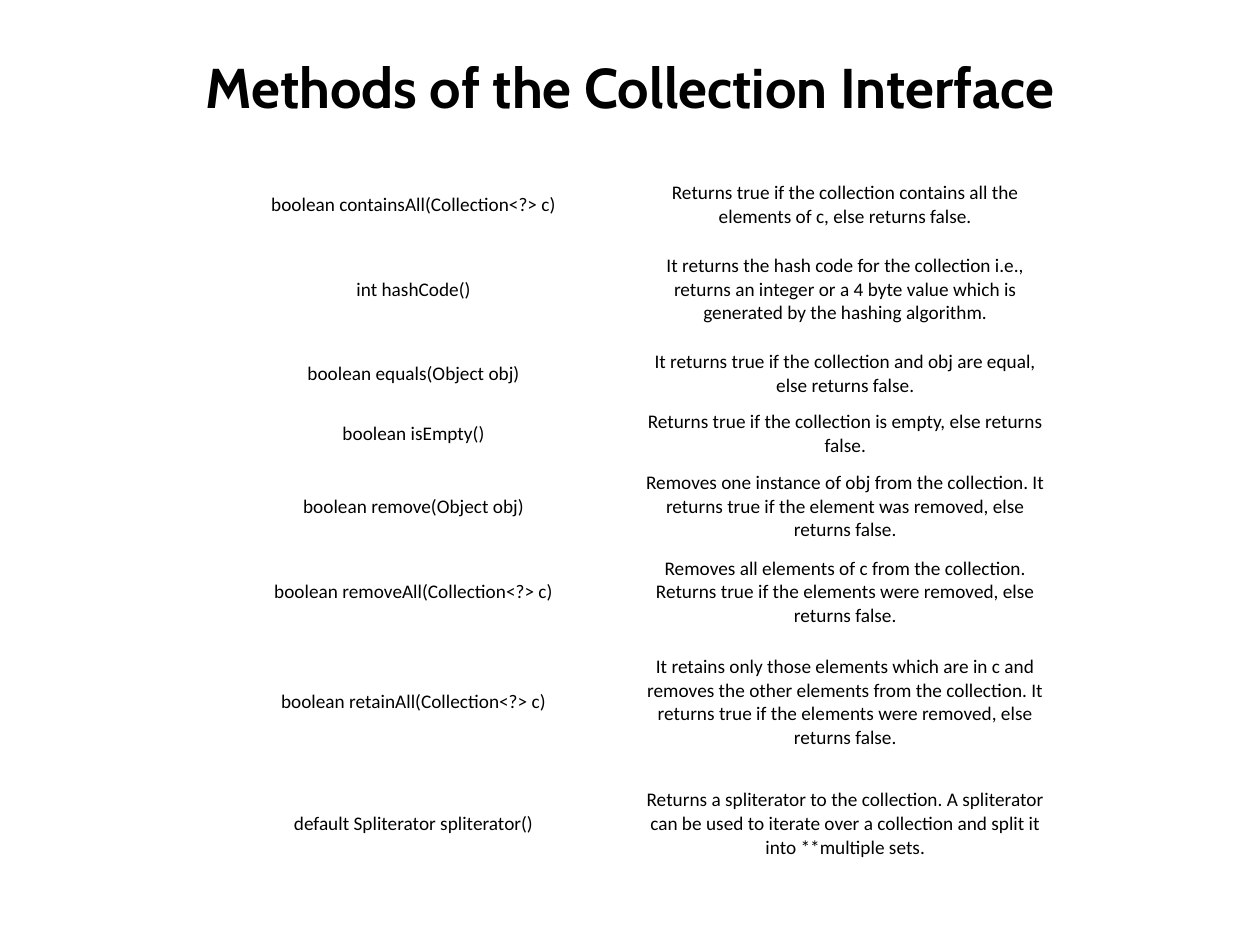
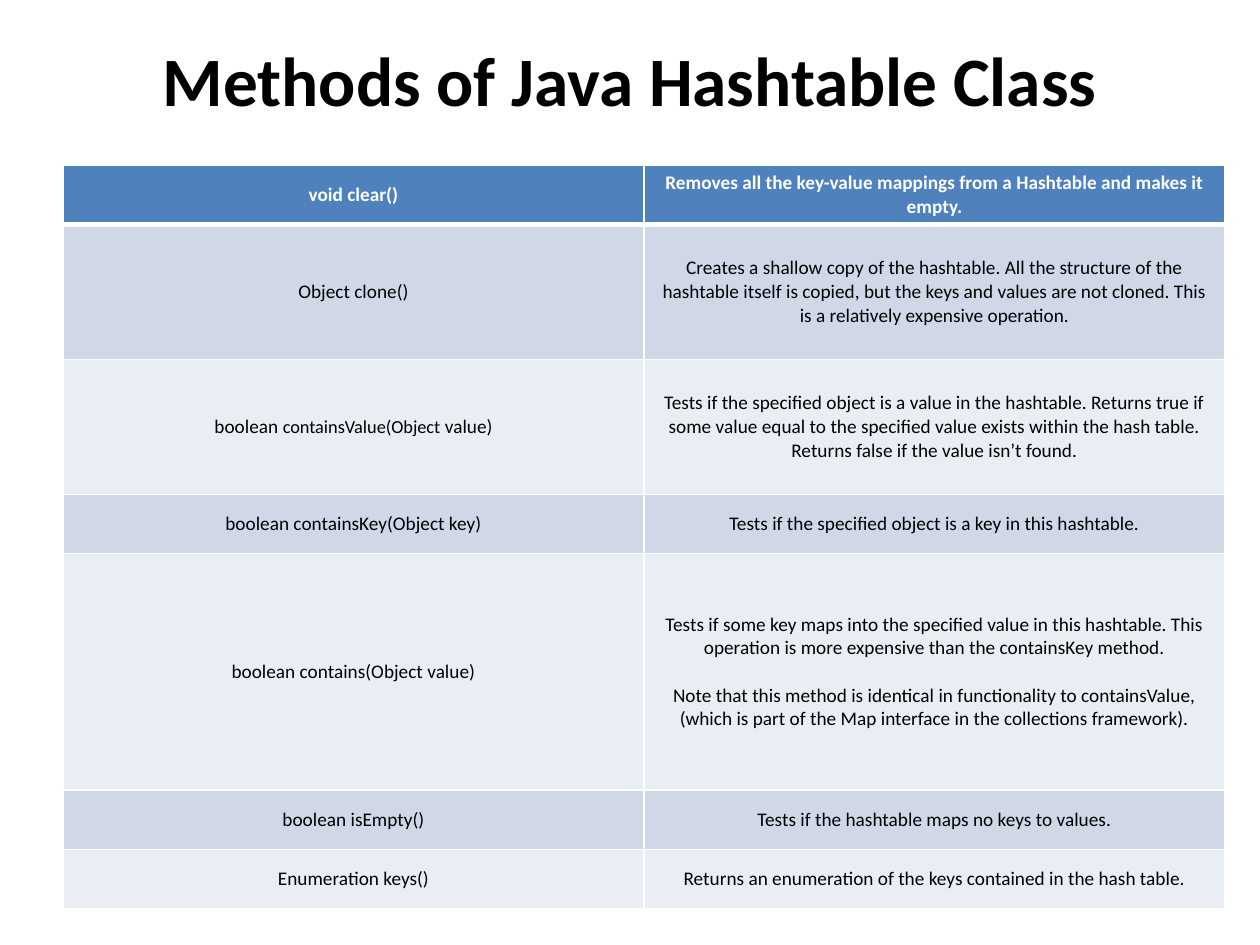
from dataclasses import dataclass

from lxml.etree import SubElement
from pptx import Presentation
from pptx.dml.color import RGBColor
from pptx.enum.text import MSO_ANCHOR, PP_ALIGN
from pptx.oxml.ns import qn
from pptx.presentation import Presentation as Deck
from pptx.slide import Slide
from pptx.table import _Cell
from pptx.text.text import _Paragraph
from pptx.util import Length, Pt


@dataclass(frozen=True)
class Theme:
    black: str = "000000"
    white: str = "FFFFFF"
    header: str = "4F81BD"
    dark_band: str = "D0D8E8"
    light_band: str = "E9EDF4"
    body_font: str = "Calibri"
    accent_font: str = "Cabin"
    body_size: Length = Pt(11)
    small_size: Length = Pt(10.5)
    collection_title_size: Length = Pt(32)
    hashtable_title_size: Length = Pt(39.6)
    paragraph_gap: Length = Pt(13.4)
    thin_line: Length = Pt(1)
    thick_line: Length = Pt(3)


THEME = Theme()


@dataclass(frozen=True)
class Title:
    text: str
    font: str
    size: Length
    top: Length


@dataclass(frozen=True)
class Method:
    signature: str
    description: str
    height: Length
    note: str = ""
    small_part: str = ""


@dataclass(frozen=True)
class MethodTable:
    left: Length
    top: Length
    column_width: Length
    methods: list[Method]
    banded: bool
    side_margin: Length
    edge_margin: Length


COLLECTION_TITLE = Title("Methods of the Collection Interface", THEME.accent_font,
                         THEME.collection_title_size, Pt(25.1))
HASHTABLE_TITLE = Title("Methods of Java Hashtable Class", THEME.body_font,
                        THEME.hashtable_title_size, Pt(20.8))

COLLECTION_TABLE = MethodTable(
    left=Pt(113), top=Pt(100), column_width=Pt(246.7), banded=False,
    side_margin=Pt(4.3), edge_margin=Pt(2.2),
    methods=[
        Method("boolean containsAll(Collection<?> c)",
               "Returns true if the collection contains all the elements of c, "
               "else returns false.", Pt(34.2)),
        Method("int hashCode()",
               "It returns the hash code for the collection i.e., returns an integer "
               "or a 4 byte value which is generated by the hashing algorithm.", Pt(62.4)),
        Method("boolean equals(Object obj)",
               "It returns true if the collection and obj are equal, "
               "else returns false.", Pt(34.2)),
        Method("boolean isEmpty()",
               "Returns true if the collection is empty, else returns false.", Pt(34.2)),
        Method("boolean remove(Object obj)",
               "Removes one instance of obj from the collection. It returns true "
               "if the element was removed, else returns false.", Pt(49)),
        Method("boolean removeAll(Collection<?> c)",
               "Removes all elements of c from the collection. Returns true "
               "if the elements were removed, else returns false.", Pt(49)),
        Method("boolean retainAll(Collection<?> c)",
               "It retains only those elements which are in c and removes the other "
               "elements from the collection. It returns true if the elements were "
               "removed, else returns false.", Pt(76.8)),
        Method("default Spliterator spliterator()",
               "Returns a spliterator to the collection. A spliterator can be used to "
               "iterate over a collection and split it into **multiple sets.", Pt(62.4)),
    ],
)

HASHTABLE_TABLE = MethodTable(
    left=Pt(36), top=Pt(94.4), column_width=Pt(332), banded=True,
    side_margin=Pt(7.2), edge_margin=Pt(3.6),
    methods=[
        Method("void clear()",
               "Removes all the key-value mappings from a Hashtable and makes it empty.",
               Pt(33.8)),
        Method("Object clone()",
               "Creates a shallow copy of the hashtable. All the structure of the "
               "hashtable itself is copied, but the keys and values are not cloned. "
               "This is a relatively expensive operation.", Pt(77.2)),
        Method("boolean containsValue(Object value)",
               "Tests if the specified object is a value in the hashtable. Returns true "
               "if some value equal to the specified value exists within the hash table. "
               "Returns false if the value isn’t found.", Pt(77.2),
               small_part="containsValue(Object"),
        Method("boolean containsKey(Object key)",
               "Tests if the specified object is a key in this hashtable.", Pt(33.8)),
        Method("boolean contains(Object value)",
               "Tests if some key maps into the specified value in this hashtable. "
               "This operation is more expensive than the containsKey method.", Pt(135.2),
               note="Note that this method is identical in functionality to containsValue, "
                    "(which is part of the Map interface in the collections framework)."),
        Method("boolean isEmpty()",
               "Tests if the hashtable maps no keys to values.", Pt(33.8)),
        Method("Enumeration keys()",
               "Returns an enumeration of the keys contained in the hash table.", Pt(33.8)),
    ],
)


def format_paragraph(paragraph: _Paragraph, font: str, size: Length,
                     color: str, bold: bool) -> None:
    paragraph.alignment = PP_ALIGN.CENTER
    for run in paragraph.runs:
        run.font.name = font
        run.font.size = size
        run.font.bold = bold
        run.font.color.rgb = RGBColor.from_string(color)


def add_title(slide: Slide, title: Title) -> None:
    shape = slide.shapes.add_textbox(Pt(36), title.top, Pt(648), Pt(48))
    text_frame = shape.text_frame
    text_frame.word_wrap = True
    text_frame.vertical_anchor = MSO_ANCHOR.MIDDLE
    text_frame.text = title.text
    format_paragraph(text_frame.paragraphs[0], title.font, title.size, THEME.black, True)


def set_borders(cell: _Cell, row: int) -> None:
    widths = {
        "a:lnL": THEME.thin_line,
        "a:lnR": THEME.thin_line,
        "a:lnT": THEME.thick_line if row == 1 else THEME.thin_line,
        "a:lnB": THEME.thick_line if row == 0 else THEME.thin_line,
    }
    properties = cell._tc.get_or_add_tcPr()
    for tag, width in widths.items():
        line = SubElement(properties, qn(tag), w=str(width))
        fill = SubElement(line, qn("a:solidFill"))
        SubElement(fill, qn("a:srgbClr"), val=THEME.white)


def paint_cell(cell: _Cell, row: int, banded: bool) -> None:
    if not banded:
        cell.fill.background()
        return
    set_borders(cell, row)
    band = THEME.dark_band if row % 2 else THEME.light_band
    cell.fill.solid()
    cell.fill.fore_color.rgb = RGBColor.from_string(band if row else THEME.header)


def fill_cell(cell: _Cell, texts: list[str], header: bool, small_part: str) -> None:
    cell.vertical_anchor = MSO_ANCHOR.MIDDLE
    text_frame = cell.text_frame
    text_frame.text = "\n".join(texts)
    if small_part:
        paragraph = text_frame.paragraphs[0]
        paragraph.clear()
        for part in texts[0].partition(small_part):
            paragraph.add_run().text = part
    for index, paragraph in enumerate(text_frame.paragraphs):
        if index:
            paragraph.space_before = THEME.paragraph_gap
        format_paragraph(paragraph, THEME.body_font, THEME.body_size,
                         THEME.white if header else THEME.black, header)
        for run in paragraph.runs:
            if run.text == small_part:
                run.font.size = THEME.small_size


def add_method_table(slide: Slide, layout: MethodTable) -> None:
    height = sum(method.height for method in layout.methods)
    table = slide.shapes.add_table(len(layout.methods), 2, layout.left, layout.top,
                                   2 * layout.column_width, height).table
    table.first_row = layout.banded
    table.horz_banding = layout.banded
    for column in table.columns:
        column.width = layout.column_width
    for row, method in enumerate(layout.methods):
        table.rows[row].height = method.height
        descriptions = [text for text in (method.description, method.note) if text]
        contents = [([method.signature], method.small_part), (descriptions, "")]
        for column, (texts, small_part) in enumerate(contents):
            cell = table.cell(row, column)
            cell.margin_left = cell.margin_right = layout.side_margin
            cell.margin_top = cell.margin_bottom = layout.edge_margin
            paint_cell(cell, row, layout.banded)
            fill_cell(cell, texts, layout.banded and row == 0, small_part)


def add_method_slide(presentation: Deck, title: Title, layout: MethodTable) -> None:
    slide = presentation.slides.add_slide(presentation.slide_layouts[6])
    add_title(slide, title)
    add_method_table(slide, layout)


def main() -> None:
    presentation = Presentation()
    presentation.slide_width = Pt(720)
    presentation.slide_height = Pt(540)
    add_method_slide(presentation, COLLECTION_TITLE, COLLECTION_TABLE)
    add_method_slide(presentation, HASHTABLE_TITLE, HASHTABLE_TABLE)
    presentation.save("out.pptx")


if __name__ == "__main__":
    main()
